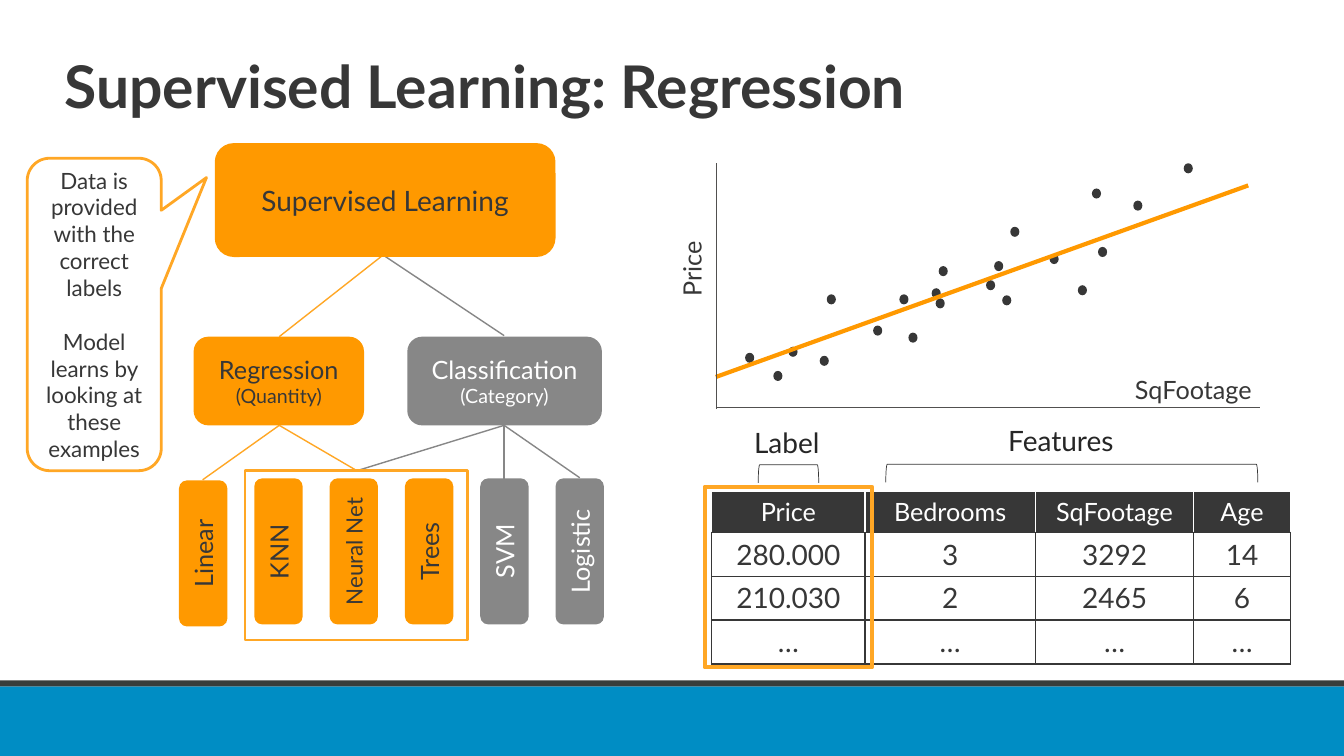
from dataclasses import dataclass
from typing import Any, Optional

from lxml.etree import SubElement
from pptx import Presentation
from pptx.dml.color import RGBColor
from pptx.enum.shapes import MSO_CONNECTOR, MSO_SHAPE
from pptx.enum.text import MSO_ANCHOR, MSO_AUTO_SIZE, PP_ALIGN
from pptx.oxml import parse_xml
from pptx.oxml.ns import nsdecls, qn
from pptx.util import Inches, Pt

HUES = {"dark": "373737", "ink": "262626", "white": "FFFFFF", "orange": "FF9900",
        "amber": "FFA725", "gray": "878787", "axis": "51504F", "blue": "008DC4",
        "band": "383D3B"}
FONT = "Lato"
BOX = {"word_wrap": True, "vertical_anchor": MSO_ANCHOR.MIDDLE}
LABEL = {"word_wrap": False, "auto_size": MSO_AUTO_SIZE.SHAPE_TO_FIT_TEXT}
TITLE = {"word_wrap": True, "vertical_anchor": MSO_ANCHOR.TOP}
MID = {"alignment": PP_ALIGN.CENTER}
LEFT = {"alignment": PP_ALIGN.LEFT}


@dataclass
class Block:
    at: tuple
    kind: Any = MSO_SHAPE.RECTANGLE
    fill: Optional[str] = None
    line: Optional[str] = None
    width: float = 1
    turn: int = 0


@dataclass
class Words:
    text: str
    size: float
    hue: str = "dark"
    bold: bool = False


@dataclass
class Label:
    at: tuple
    words: Words
    frame: dict
    para: dict
    turn: int = 0


@dataclass
class Link:
    start: tuple
    end: tuple
    hue: str
    width: float = 1


def color(name: str) -> RGBColor:
    return RGBColor.from_string(HUES[name])


def apply(item: Any, form: dict) -> None:
    for key, value in form.items():
        setattr(item, key, value)


def write(para: Any, words: Words) -> None:
    run = para.add_run()
    run.text = words.text
    apply(run.font, {"name": FONT, "size": Pt(words.size), "bold": words.bold})
    run.font.color.rgb = color(words.hue)


def draw(slide: Any, block: Block) -> Any:
    shape = slide.shapes.add_shape(block.kind, *map(Inches, block.at))
    shape.shadow.inherit = False
    shape.rotation = block.turn
    if block.fill:
        shape.fill.solid()
        shape.fill.fore_color.rgb = color(block.fill)
    else:
        shape.fill.background()
    if block.line:
        shape.line.color.rgb = color(block.line)
        shape.line.width = Pt(block.width)
    else:
        shape.line.fill.background()
    return shape


def node(slide: Any, at: tuple, fill: str, lines: list, turn: int = 0) -> None:
    shape = draw(slide, Block(at, MSO_SHAPE.ROUNDED_RECTANGLE, fill, turn=turn))
    apply(shape.text_frame, BOX)
    para = shape.text_frame.paragraphs[0]
    apply(para, MID)
    for place, words in enumerate(lines):
        if place:
            para.add_line_break()
        write(para, words)


def tag(slide: Any, label: Label) -> None:
    box = slide.shapes.add_textbox(*map(Inches, label.at))
    box.rotation = label.turn
    apply(box.text_frame, label.frame)
    para = box.text_frame.paragraphs[0]
    apply(para, label.para)
    write(para, label.words)


def join(slide: Any, link: Link) -> None:
    line = slide.shapes.add_connector(MSO_CONNECTOR.STRAIGHT,
                                      *map(Inches, link.start + link.end))
    line.line.color.rgb = color(link.hue)
    line.line.width = Pt(link.width)
    SubElement(line._element.spPr, qn("a:effectLst"))


def edge(cell: Any, hues: tuple) -> None:
    props = cell._tc.get_or_add_tcPr()
    for place, (side, hue) in enumerate(zip("LRTB", hues)):
        props.insert(place, parse_xml(
            f'<a:ln{side} {nsdecls("a")} w="12700"><a:solidFill>'
            f'<a:srgbClr val="{HUES[hue]}"/></a:solidFill></a:ln{side}>'))


def grid(slide: Any) -> None:
    rows = [("Price", "Bedrooms", "SqFootage", "Age"), ("280.000", "3", "3292", "14"),
            ("210.030", "2", "2465", "6"), ("…",) * 4]
    frame = slide.shapes.add_table(4, 4, *map(Inches, (7.06, 4.88, 5.75, 1.7)))
    table = frame.table
    apply(table, {"first_row": False, "horz_banding": False})
    for col, width in zip(table.columns, (1.52, 1.69, 1.57, 0.96)):
        col.width = Inches(width)
    for y, row in enumerate(rows):
        table.rows[y].height = Inches(0.43 if y else 0.4)
        for x, text in enumerate(row):
            cell = table.cell(y, x)
            para = cell.text_frame.paragraphs[0]
            apply(para, MID)
            if y:
                cell.fill.background()
                write(para, Words(text, 20))
                edge(cell, ("dark",) * 4)
            else:
                cell.vertical_anchor = MSO_ANCHOR.MIDDLE
                cell.fill.solid()
                cell.fill.fore_color.rgb = color("dark")
                write(para, Words(text, 18, "white"))
                edge(cell, ("white", "white", "white", "dark"))


def plot(slide: Any) -> None:
    dots = [(7.39, 3.5), (7.67, 3.68), (7.82, 3.44), (8.13, 3.53), (8.2, 2.92),
            (8.66, 3.23), (9.01, 3.3), (8.92, 2.92), (9.31, 2.64), (9.24, 2.86),
            (9.28, 2.96), (9.94, 2.93), (9.86, 2.59), (9.78, 2.78), (10.02, 2.25),
            (10.41, 2.52), (10.89, 2.45), (10.69, 2.83), (10.83, 1.87),
            (11.24, 1.99), (11.74, 1.62)]
    for dot in dots:
        draw(slide, Block(dot + (0.09, 0.1), MSO_SHAPE.FLOWCHART_CONNECTOR, "dark"))
    for link in (Link((7.1, 3.74), (12.38, 1.84), "orange", 3),
                 Link((7.1, 4.06), (7.1, 1.62), "axis", 0.5),
                 Link((7.1, 4.04), (12.5, 4.04), "axis", 0.5)):
        join(slide, link)


def tree(slide: Any) -> None:
    root, left, right, net = (3.8, 2.53), (2.77, 4.22), (5, 4.22), (3.54, 4.67)
    for link in (Link(root, (2.77, 3.34), "amber"), Link(root, (5, 3.33), "gray"),
                 Link(left, (2.01, 4.76), "amber"), Link(right, (5, 4.75), "gray"),
                 Link(right, (5.75, 4.74), "gray"), Link(net, right, "gray"),
                 Link(net, left, "amber")):
        join(slide, link)
    node(slide, (1.92, 3.34, 1.69, 0.88), "orange",
         [Words("Regression", 18), Words("(Quantity)", 14)])
    node(slide, (4.04, 3.34, 1.93, 0.88), "gray",
         [Words("Classification", 18, "white"), Words("(Category)", 14, "white")])
    leaves = ("Linear", "KNN", "Neural Net", "Trees", "SVM", "Logistic")
    for place, name in enumerate(leaves):
        fill, hue = ("orange", "dark") if place < 4 else ("gray", "white")
        size = 16 if name == "Neural Net" else 18
        top = 5.23 if place else 5.25
        node(slide, (1.29 + 0.747 * place, top, 1.45, 0.48), fill,
             [Words(name, size, hue)], 270)
    draw(slide, Block((2.43, 4.67, 2.21, 1.68), line="amber", width=2))
    node(slide, (2.13, 1.42, 3.38, 1.13), "orange", [Words("Supervised Learning", 20)])


def note(slide: Any) -> None:
    shape = draw(slide, Block((0.27, 1.57, 1.33, 3.1),
                              MSO_SHAPE.ROUNDED_RECTANGULAR_CALLOUT, "white", "amber", 2))
    for place, value in enumerate((0.837, -0.438, 0.167)):
        shape.adjustments[place] = value
    frame = shape.text_frame
    apply(frame, BOX)
    first, last = frame.paragraphs[0], frame.add_paragraph()
    apply(first, MID)
    apply(last, MID | {"space_before": Pt(19.2)})
    write(first, Words("Data is provided with the correct labels", 16))
    write(last, Words("Model learns by looking at these examples", 16))


def main() -> None:
    deck = Presentation()
    apply(deck, {"slide_width": Inches(13.33), "slide_height": Inches(7.5)})
    slide = deck.slides.add_slide(deck.slide_layouts[6])
    for block in (Block((-0.02, 6.81, 13.38, 0.69), fill="blue"),
                  Block((-0.01, 6.75, 13.36, 0.06), fill="band"),
                  Block((10.54, 2.85, 0.18, 3.69), MSO_SHAPE.LEFT_BRACKET,
                        line="dark", width=0.5, turn=90),
                  Block((7.73, 4.4, 0.18, 0.6), MSO_SHAPE.LEFT_BRACKET,
                        line="dark", width=0.5, turn=90)):
        draw(slide, block)
    plot(slide)
    tree(slide)
    note(slide)
    grid(slide)
    draw(slide, Block((6.99, 4.83, 1.66, 1.79), line="amber", width=3))
    head = Words("Supervised Learning: Regression", 42, bold=True)
    for label in (Label((0.54, 0.52, 11.5, 1.09), head, TITLE, LEFT | {"line_spacing": 0.9}),
                  Label((9.9, 4.15, 1.29, 0.44), Words("Features", 20, "ink"), LABEL, LEFT),
                  Label((7.38, 4.17, 0.89, 0.44), Words("Label", 20, "ink"), LABEL, LEFT),
                  Label((11.12, 3.66, 1.43, 0.4), Words("SqFootage", 18), LABEL, MID),
                  Label((6.48, 2.47, 0.76, 0.4), Words("Price", 18), LABEL, MID, 270)):
        tag(slide, label)
    deck.save("out.pptx")


if __name__ == "__main__":
    main()
